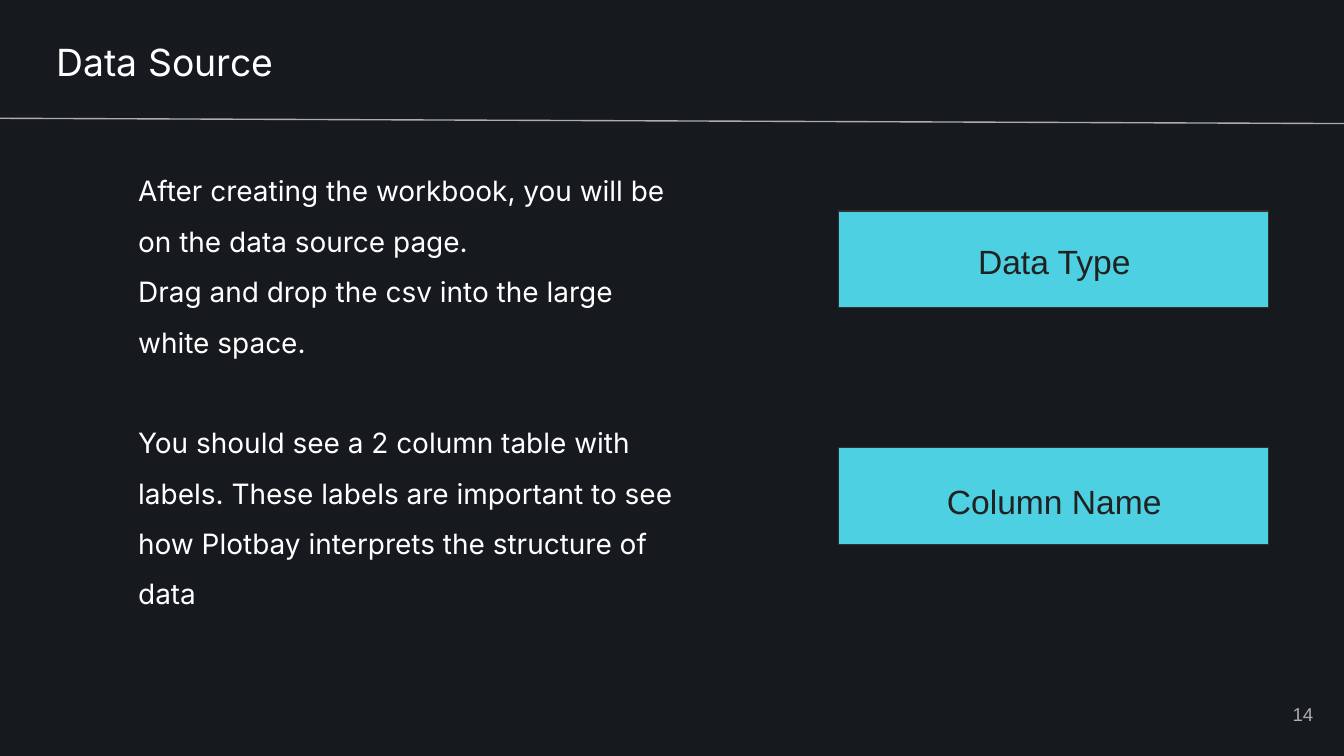
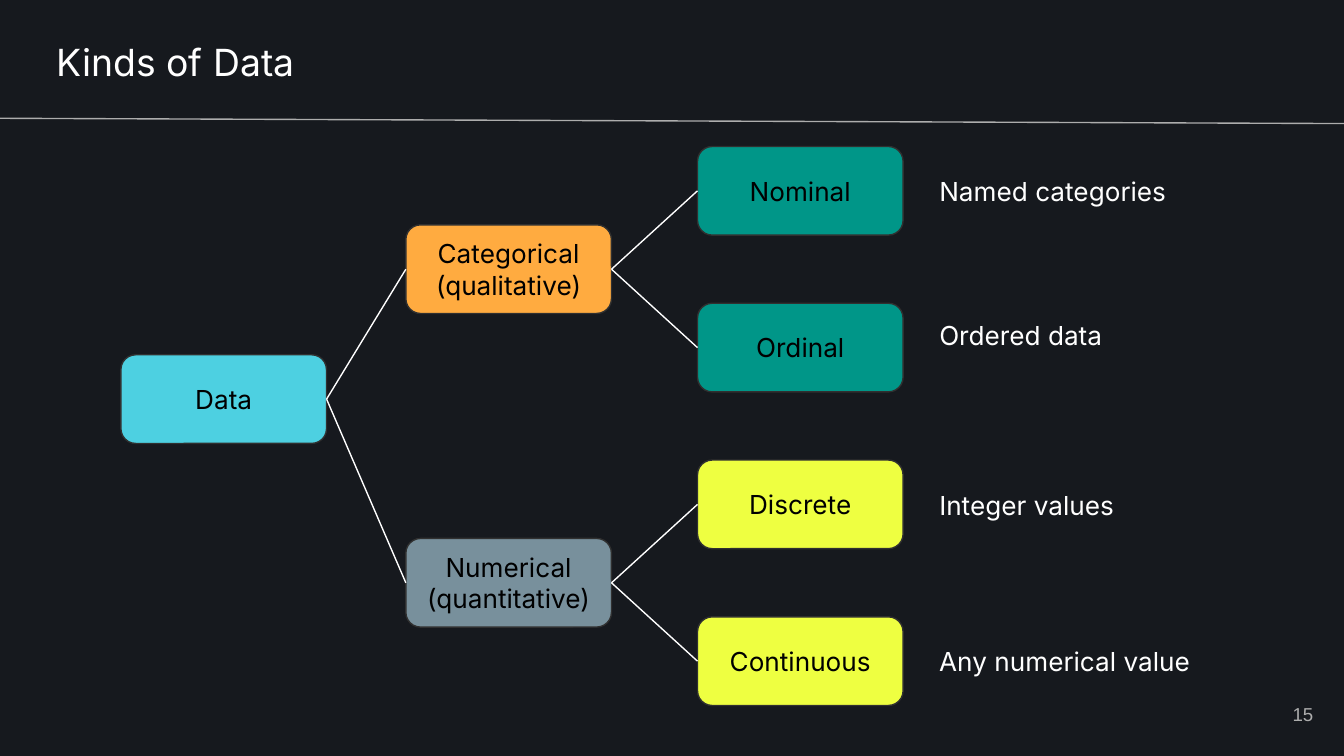
from lxml import etree
from pptx import Presentation
from pptx.dml.color import RGBColor
from pptx.enum.shapes import MSO_CONNECTOR, MSO_SHAPE
from pptx.enum.text import MSO_ANCHOR, MSO_AUTO_SIZE, PP_ALIGN
from pptx.oxml.ns import qn
from pptx.util import Inches, Pt

STRAIGHT = MSO_CONNECTOR.STRAIGHT
RECT, ROUNDED = MSO_SHAPE.RECTANGLE, MSO_SHAPE.ROUNDED_RECTANGLE
TOP, MIDDLE = MSO_ANCHOR.TOP, MSO_ANCHOR.MIDDLE
LEFT, CENTER, RIGHT = PP_ALIGN.LEFT, PP_ALIGN.CENTER, PP_ALIGN.RIGHT
NO_FIT = MSO_AUTO_SIZE.NONE

NIGHT = RGBColor(0x16, 0x19, 0x1E)
WHITE = RGBColor(0xFF, 0xFF, 0xFF)
BLACK = RGBColor(0x00, 0x00, 0x00)
GRAY = RGBColor(0xAD, 0xAD, 0xAD)
CHARCOAL = RGBColor(0x21, 0x21, 0x21)
OUTLINE = RGBColor(0x30, 0x30, 0x30)
CYAN = RGBColor(0x4D, 0xD0, 0xE1)
ORANGE = RGBColor(0xFF, 0xAB, 0x40)
SLATE = RGBColor(0x78, 0x90, 0x9C)
TEAL = RGBColor(0x00, 0x96, 0x88)
YELLOW = RGBColor(0xEE, 0xFF, 0x41)

TITLE_FONT = {"name": "Inter", "size": Pt(20), "color": WHITE}
BODY_FONT = {"name": "Inter", "size": Pt(15), "color": WHITE}
NUMBER_FONT = {"name": "Arial", "size": Pt(10), "color": GRAY}
CALLOUT_FONT = {"name": "Arial", "size": Pt(18), "color": CHARCOAL}
NODE_FONT = {"name": "Inter", "size": Pt(14), "color": BLACK}
NOTE_FONT = {"name": "Inter", "size": Pt(14), "color": WHITE}

SOURCE_STEPS = [
    ("After creating the workbook, you will be on the data source page.", 0),
    ("Drag and drop the csv into the large white space.", 0),
    ("You should see a 2 column table with labels. These labels are important "
     "to see how Plotbay interprets the structure of data", 27),
]
CALLOUTS = [("Data Type", 1.57, 1.69), ("Column Name", 3.33, 3.48)]

ROOT = ("Data", CYAN)
BRANCHES = [
    (["Categorical", "(qualitative)"], ORANGE, TEAL, [
        ("Nominal", "Named categories", 1.26, 1.92),
        ("Ordinal", "Ordered data", 2.33, 1.92),
    ]),
    (["Numerical", "(quantitative)"], SLATE, YELLOW, [
        ("Discrete", "Integer values", 3.6, 1.92),
        ("Continuous", "Any numerical value", 4.76, 2.26),
    ]),
]
ROOT_X, BRANCH_X, LEAF_X, NOTE_X = 0.9, 3.02, 5.19, 6.89
ROOT_Y, FIRST_LEAF_Y, LAST_LEAF_Y = 2.64, 1.09, 4.59
NODE_W, NODE_H = 1.53, 0.66


def write(shape, lines, font, align=LEFT, anchor=TOP, spacing=None, before=()):
    tf = shape.text_frame
    frame = {"word_wrap": True, "auto_size": NO_FIT, "vertical_anchor": anchor}
    for side in ("left", "top", "right", "bottom"):
        frame["margin_" + side] = Inches(0.1)
    for name, value in frame.items():
        setattr(tf, name, value)
    for i, line in enumerate(lines):
        p = tf.paragraphs[0] if i == 0 else tf.add_paragraph()
        p.alignment = align
        if spacing:
            p.line_spacing = spacing
        if before and before[i]:
            p.space_before = Pt(before[i])
        r = p.add_run()
        r.text = line
        r.font.name, r.font.size = font["name"], font["size"]
        r.font.color.rgb = font["color"]


def add_text(s, box, lines, font, **layout):
    sp = s.shapes.add_textbox(*map(Inches, box))
    write(sp, lines, font, **layout)
    return sp


def add_box(s, kind, box, fill):
    sp = s.shapes.add_shape(kind, *map(Inches, box))
    sp.shadow.inherit = False
    sp.fill.solid()
    sp.fill.fore_color.rgb = fill
    sp.line.color.rgb = OUTLINE
    sp.line.width = Pt(0.75)
    return sp


def add_line(s, color, ends=(0, 0, 0, 0)):
    c = s.shapes.add_connector(STRAIGHT, *map(Inches, ends))
    c.line.color.rgb = color
    c.line.width = Pt(0.75)
    etree.SubElement(c._element.spPr, qn("a:effectLst"))
    return c


def add_node(s, x, y, lines, fill):
    sp = add_box(s, ROUNDED, (x, y, NODE_W, NODE_H), fill)
    sp.adjustments[0] = 1 / 6
    write(sp, lines, NODE_FONT, align=CENTER, anchor=MIDDLE)
    return sp


def join(s, parent, child):
    c = add_line(s, WHITE)
    c.begin_connect(parent, 3)
    c.end_connect(child, 1)


def add_slide(prs, title, number):
    s = prs.slides.add_slide(prs.slide_layouts[5])
    s.background.fill.solid()
    s.background.fill.fore_color.rgb = NIGHT
    add_line(s, GRAY, (-0.03, 0.88, 10.08, 0.92))
    add_text(s, (9.27, 5.1, 0.6, 0.43), [str(number)], NUMBER_FONT,
             align=RIGHT, anchor=MIDDLE)
    t = s.shapes.title
    t.left, t.top, t.width, t.height = map(Inches, (0.32, 0.19, 8.52, 0.66))
    write(t, [title], TITLE_FONT)
    return s


def build_source(prs):
    s = add_slide(prs, "Data Source", 14)
    lines, before = zip(*SOURCE_STEPS)
    add_text(s, (0.93, 1.07, 4.26, 4.03), lines, BODY_FONT,
             spacing=1.5, before=before)
    for label, box_y, text_y in CALLOUTS:
        add_box(s, RECT, (6.24, box_y, 3.2, 0.72), CYAN)
        add_text(s, (6.36, text_y, 2.97, 0.44), [label], CALLOUT_FONT,
                 align=CENTER)


def build_kinds(prs):
    s = add_slide(prs, "Kinds of Data", 15)
    name, fill = ROOT
    root = add_node(s, ROOT_X, ROOT_Y, [name], fill)
    leaf_count = sum(len(leaves) for *_, leaves in BRANCHES)
    step = (LAST_LEAF_Y - FIRST_LEAF_Y) / (leaf_count - 1)
    y = FIRST_LEAF_Y
    for lines, fill, leaf_fill, leaves in BRANCHES:
        middle = y + step * (len(leaves) - 1) / 2
        branch = add_node(s, BRANCH_X, middle, lines, fill)
        join(s, root, branch)
        for leaf, note, note_y, note_w in leaves:
            join(s, branch, add_node(s, LEAF_X, y, [leaf], leaf_fill))
            add_text(s, (NOTE_X, note_y, note_w, 0.32), [note], NOTE_FONT,
                     anchor=MIDDLE)
            y += step


def main():
    prs = Presentation()
    prs.slide_width = Inches(10)
    prs.slide_height = prs.slide_width * 9 // 16
    build_source(prs)
    build_kinds(prs)
    prs.save("out.pptx")


if __name__ == "__main__":
    main()
